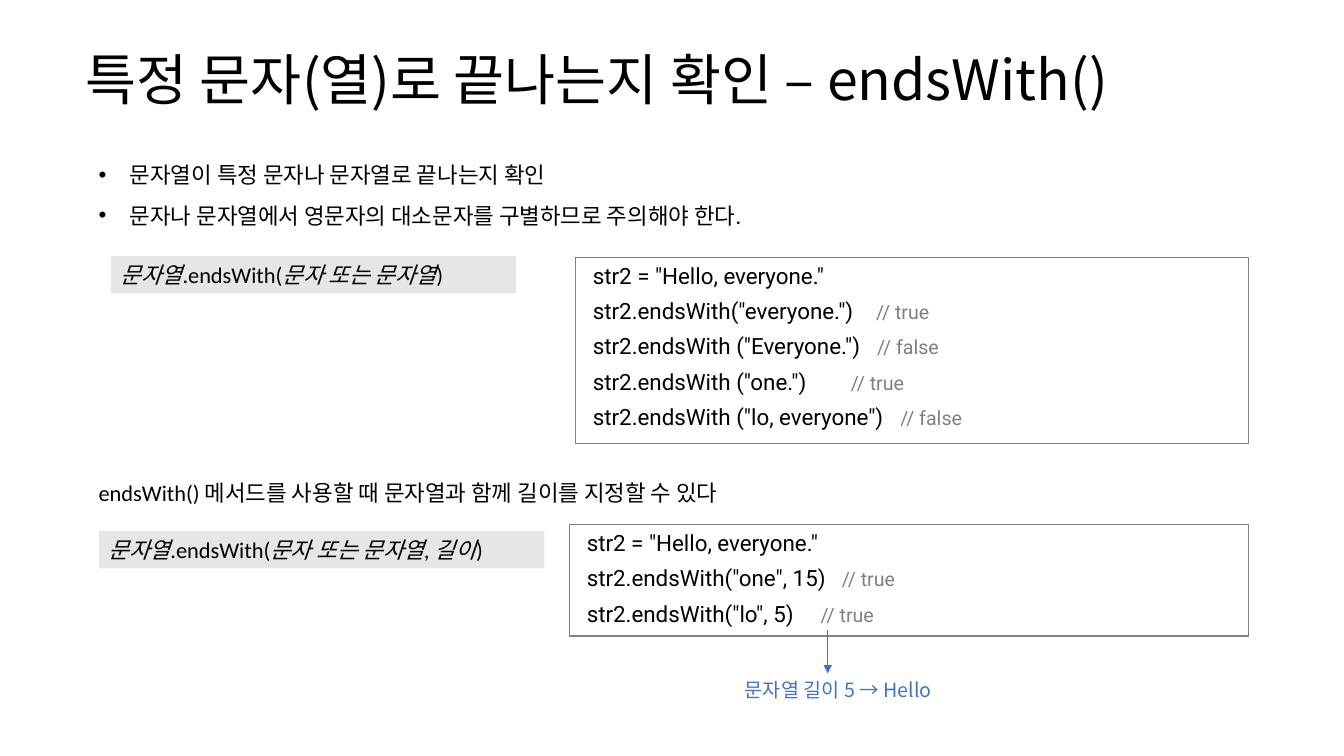
from dataclasses import dataclass

from lxml import etree
from pptx import Presentation
from pptx.dml.color import RGBColor
from pptx.enum.shapes import MSO_CONNECTOR, MSO_SHAPE
from pptx.enum.text import MSO_ANCHOR, PP_ALIGN
from pptx.oxml.ns import qn
from pptx.util import Inches, Pt

STRAIGHT = MSO_CONNECTOR.STRAIGHT
RECTANGLE = MSO_SHAPE.RECTANGLE
TOP, MIDDLE = MSO_ANCHOR.TOP, MSO_ANCHOR.MIDDLE
LEFT = PP_ALIGN.LEFT

COLORS = {"text": "000000", "comment": "808080", "syntax": "E7E6E6", "accent": "4472C4"}
KOREAN = "Noto Sans CJK KR"
BODY = "Calibri"
CODE = "Roboto"


@dataclass
class Area:
    left: float
    top: float
    width: float
    height: float

    def lengths(self):
        return [Inches(side) for side in (self.left, self.top, self.width, self.height)]


@dataclass
class CodeLine:
    code: str
    comment: str = ""
    tab: float = 0


@dataclass
class TextBlock:
    area: Area
    lines: list[str]
    size: float = 16
    font: str = BODY
    color: str = "text"
    spacing: float = 1.0
    bullet: bool = False
    anchor: int = TOP


@dataclass
class Syntax:
    area: Area
    argument: str


@dataclass
class CodeBox:
    area: Area
    lines: list[CodeLine]


TEXT_BLOCKS = [
    TextBlock(Area(0.75, 0.4, 12.14, 0.75), ["특정 문자(열)로 끝나는지 확인 – endsWith()"],
              size=39.6, font=KOREAN, anchor=MIDDLE),
    TextBlock(Area(0.88, 1.42, 10.87, 0.86),
              ["문자열이 특정 문자나 문자열로 끝나는지 확인",
               "문자나 문자열에서 영문자의 대소문자를 구별하므로 주의해야 한다."],
              spacing=1.5, bullet=True),
    TextBlock(Area(0.88, 4.57, 7.57, 0.46),
              ["endsWith() 메서드를 사용할 때 문자열과 함께 길이를 지정할 수 있다"], spacing=1.5),
    TextBlock(Area(7.29, 6.68, 2.87, 0.34), ["문자열 길이 5 → Hello"],
              size=14, font=KOREAN, color="accent"),
]

SYNTAXES = [
    Syntax(Area(1.1, 2.54, 4.02, 0.37), "문자 또는 문자열"),
    Syntax(Area(0.98, 5.27, 4.42, 0.37), "문자 또는 문자열, 길이"),
]

CODE_BOXES = [
    CodeBox(Area(5.71, 2.55, 6.67, 1.85), [
        CodeLine('str2 = "Hello, everyone."'),
        CodeLine('str2.endsWith("everyone.")', "// true", 2.81),
        CodeLine('str2.endsWith ("Everyone.")', "// false", 2.82),
        CodeLine('str2.endsWith ("one.")', "// true", 2.56),
        CodeLine('str2.endsWith ("lo, everyone")', "// false", 3.05),
    ]),
    CodeBox(Area(5.65, 5.2, 6.73, 1.11), [
        CodeLine('str2 = "Hello, everyone."'),
        CodeLine('str2.endsWith("one", 15)', "// true", 2.53),
        CodeLine('str2.endsWith("lo", 5)', "// true", 2.32),
    ]),
]


def rgb(name: str) -> RGBColor:
    return RGBColor.from_string(COLORS[name])


def add_span(para, text: str, *, size: float = 16, font: str = BODY,
             color: str = "text", italic: bool = False) -> None:
    span = para.add_run()
    span.text = text
    span.font.size = Pt(size)
    span.font.italic = italic
    span.font.color.rgb = rgb(color)
    span.font.name = font
    east_asian = etree.SubElement(span.font._element, qn("a:ea"))
    east_asian.set("typeface", KOREAN)


def add_paragraph(frame, first: bool):
    para = frame.paragraphs[0] if first else frame.add_paragraph()
    para.alignment = LEFT
    return para


def add_bullet(para) -> None:
    properties = para._p.get_or_add_pPr()
    properties.set("marL", str(Inches(0.31)))
    properties.set("indent", str(-Inches(0.31)))
    etree.SubElement(properties, qn("a:buFont")).set("typeface", "Arial")
    etree.SubElement(properties, qn("a:buChar")).set("char", "•")


def add_tab(para, position: float) -> None:
    tabs = etree.SubElement(para._p.get_or_add_pPr(), qn("a:tabLst"))
    tab = etree.SubElement(tabs, qn("a:tab"))
    tab.set("pos", str(Inches(position)))
    tab.set("algn", "l")


def add_text_block(page, block: TextBlock) -> None:
    frame = page.shapes.add_textbox(*block.area.lengths()).text_frame
    frame.word_wrap = True
    frame.vertical_anchor = block.anchor
    for index, line in enumerate(block.lines):
        para = add_paragraph(frame, index == 0)
        para.line_spacing = block.spacing
        if block.bullet:
            add_bullet(para)
        add_span(para, line, size=block.size, font=block.font, color=block.color)


def add_rectangle(page, area: Area, *, fill: str = "", line: str = ""):
    box = page.shapes.add_shape(RECTANGLE, *area.lengths())
    box.shadow.inherit = False
    if fill:
        box.fill.solid()
        box.fill.fore_color.rgb = rgb(fill)
    else:
        box.fill.background()
    if line:
        box.line.color.rgb = rgb(line)
        box.line.width = Pt(0.75)
    else:
        box.line.fill.background()
    box.text_frame.word_wrap = True
    box.text_frame.vertical_anchor = TOP
    return box


def add_syntax(page, syntax: Syntax) -> None:
    box = add_rectangle(page, syntax.area, fill="syntax")
    para = add_paragraph(box.text_frame, True)
    for index, text in enumerate(("문자열", ".endsWith(", syntax.argument, ")")):
        add_span(para, text, italic=index % 2 == 0)


def add_code_box(page, code_box: CodeBox) -> None:
    frame = add_rectangle(page, code_box.area, line="comment").text_frame
    frame.margin_left = Inches(0.17)
    for index, line in enumerate(code_box.lines):
        para = add_paragraph(frame, index == 0)
        para.space_before = Pt(3 if index else 0)
        para.space_after = Pt(3)
        add_span(para, line.code, font=CODE)
        if line.comment:
            add_tab(para, line.tab)
            add_span(para, "\t" + line.comment, size=14, font=CODE, color="comment")


def add_arrow(page, x: float, top: float, bottom: float) -> None:
    arrow = page.shapes.add_connector(STRAIGHT, Inches(x), Inches(top), Inches(x), Inches(bottom))
    arrow.line.color.rgb = rgb("accent")
    arrow.line.width = Pt(0.5)
    etree.SubElement(arrow.line._get_or_add_ln(), qn("a:tailEnd")).set("type", "triangle")
    etree.SubElement(arrow._element.spPr, qn("a:effectLst"))


def main() -> None:
    deck = Presentation()
    deck.slide_width, deck.slide_height = Inches(13.33), Inches(7.5)
    page = deck.slides.add_slide(deck.slide_layouts[6])
    for block in TEXT_BLOCKS:
        add_text_block(page, block)
    for syntax in SYNTAXES:
        add_syntax(page, syntax)
    for code_box in CODE_BOXES:
        add_code_box(page, code_box)
    add_arrow(page, 8.21, 6.25, 6.68)
    deck.save("out.pptx")


if __name__ == "__main__":
    main()
